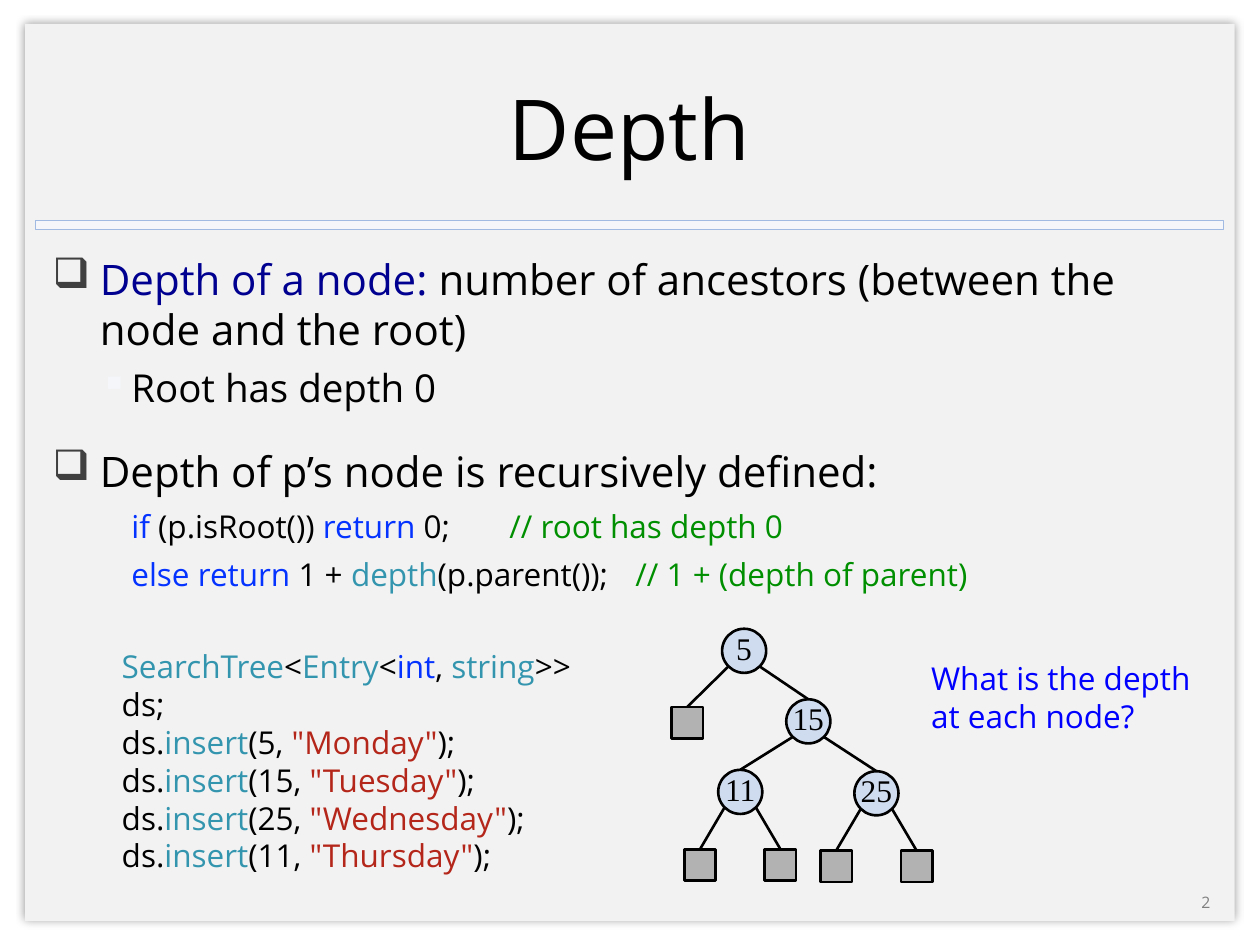
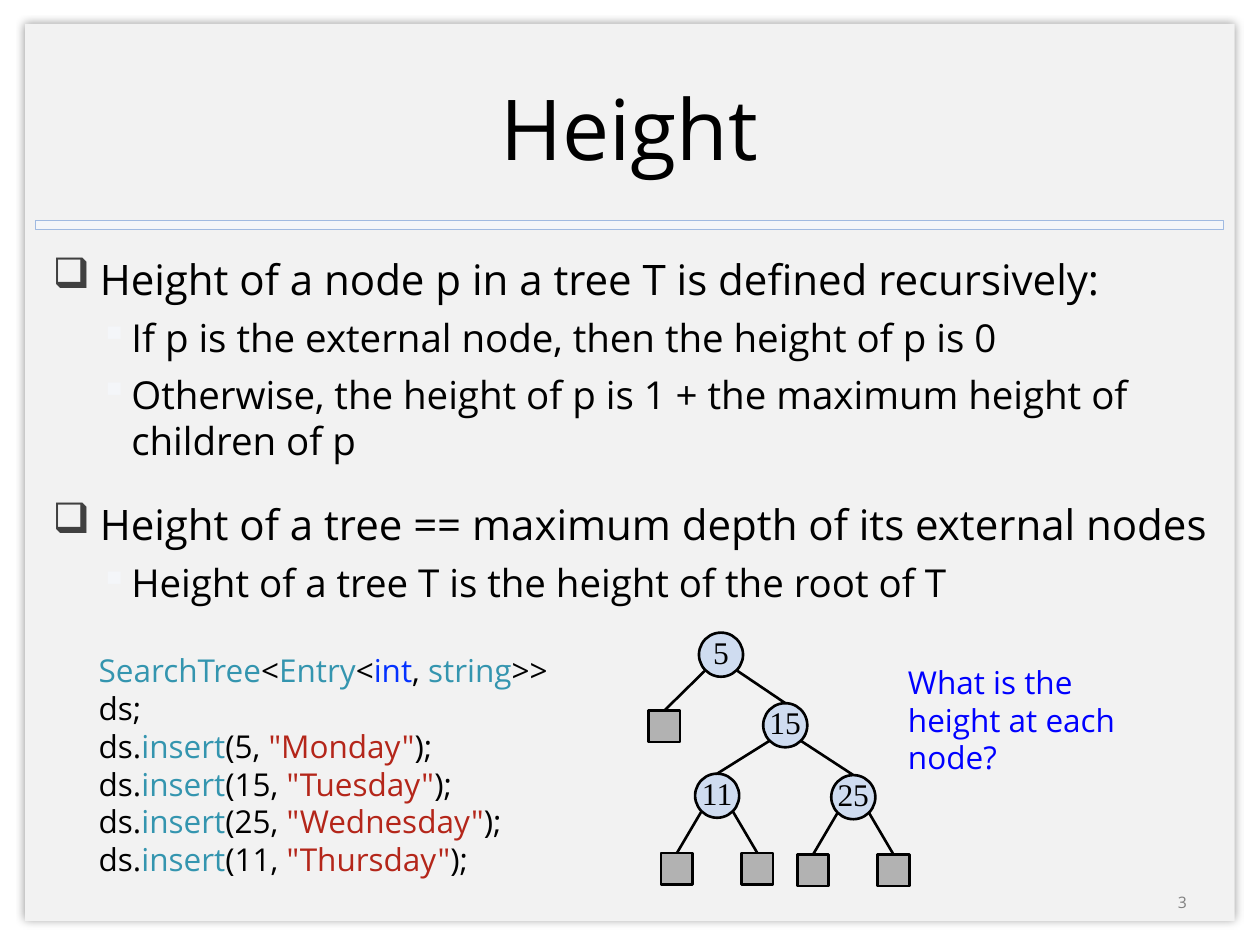
import pptx
import pptx.dml.color
import pptx.enum.shapes
import pptx.enum.text
import pptx.oxml
import pptx.oxml.ns
import pptx.util
import lxml.etree

Pt = pptx.util.Pt
RGB = pptx.dml.color.RGBColor
SHAPE = pptx.enum.shapes.MSO_SHAPE
STRAIGHT = pptx.enum.shapes.MSO_CONNECTOR.STRAIGHT
ANCHOR = pptx.enum.text.MSO_ANCHOR
CENTER = pptx.enum.text.PP_ALIGN.CENTER
qn = pptx.oxml.ns.qn

BLACK = RGB(0x00, 0x00, 0x00)
PANEL = RGB(0xF2, 0xF2, 0xF2)
PALE = RGB(0xF4, 0xF6, 0xF9)
RULE = RGB(0xA0, 0xBA, 0xE1)
NAVY = RGB(0x00, 0x00, 0x90)
BLUE = RGB(0x00, 0x00, 0xFF)
GRAY = RGB(0x7F, 0x7F, 0x7F)
BULLET = RGB(0x40, 0x40, 0x40)
KEYWORD = RGB(0x04, 0x32, 0xFF)
COMMENT = RGB(0x00, 0x8F, 0x00)
TYPE = RGB(0x34, 0x95, 0xAF)
STRING = RGB(0xB4, 0x26, 0x1A)
NODE = RGB(0xCF, 0xDC, 0xF0)
LEAF = RGB(0xB2, 0xB2, 0xB2)

FONT = "Open Sans"
NODE_FONT = "Times New Roman"

# Outline levels: text size, left margin, first-line indent, space before, bullet, bullet colour
LEVELS = [
    (24, 27, -27, 20, "\u2751", BULLET),
    (22, 45, -18, 6, "\u25aa", PALE),
    (18, 45, 0, 6, None, None),
]

# Slides: title, number, number box left, shift of the lower half, question, outline.
# An outline line is a level, its runs and, where it has a tab, the tab stop.
SLIDES = [
    ("Depth", "2", 672.5, (0, 0), "What is the depth at each node?", [
        (0, [("Depth of a node:", NAVY),
             (" number of ancestors (between the node and the root)", BLACK)], None),
        (1, [("Root has depth 0", BLACK)], None),
        (0, [("Depth of p\u2019s node is recursively defined:", BLACK)], None),
        (2, [("if ", KEYWORD), ("(p.isRoot()) ", BLACK), ("return ", KEYWORD),
             ("0;\t", BLACK), ("// root has depth 0", COMMENT)], 316.5),
        (2, [("else return", KEYWORD), (" 1 + ", BLACK), ("depth", TYPE),
             ("(p.parent());\t", BLACK), ("// 1 + (depth of parent)", COMMENT)], 332),
    ]),
    ("Height", "3", 645.8, (-13.2, 2.2), "What is the height at each node?", [
        (0, [("Height of a node p in a tree T is defined recursively:", BLACK)], None),
        (1, [("If p is the external node, then the height of p is 0", BLACK)], None),
        (1, [("Otherwise, the height of p is 1 + the maximum height of children of p",
              BLACK)], None),
        (0, [("Height of a tree == maximum depth of its external nodes", BLACK)], None),
        (1, [("Height of a tree T is the height of the root of T", BLACK)], None),
    ]),
]

CODE = [[("SearchTree", TYPE), ("<", BLACK), ("Entry", TYPE), ("<", BLACK),
         ("int", KEYWORD), (", ", BLACK), ("string", TYPE), (">> ds;", BLACK)]]
for key, day in [(5, "Monday"), (15, "Tuesday"), (25, "Wednesday"), (11, "Thursday")]:
    CODE.append([("ds.", BLACK), ("insert", TYPE), (f"({key}, ", BLACK),
                 (f'"{day}"', STRING), (");", BLACK)])

# Tree: label (None for a leaf), centre relative to the root, parent index
ROOT = (425.2, 371.9)
RADIUS = 12.6
HALF_LEAF = 9
TREE = [
    ("5", 0, 0, None),
    ("15", 36.7, 40.3, 0),
    (None, -32.4, 41, 0),
    ("11", -2.2, 80.6, 1),
    ("25", 75.6, 81.4, 1),
]
for parent in (3, 4):
    for side in (-23, 23):
        TREE.append((None, TREE[parent][1] + side, TREE[parent][2] + 41.8, parent))


def write(p, runs, size, name=FONT):
    """Add coloured runs of one size and font to a paragraph."""
    for text, color in runs:
        r = p.add_run()
        r.text = text
        for key, value in {"size": Pt(size), "name": name}.items():
            setattr(r.font, key, value)
        r.font.color.rgb = color


def add_shape(shapes, kind, box, fill, line=None, width=1.5):
    """Add a flat preset shape with a solid fill and an optional outline."""
    sp = shapes.add_shape(kind, *[Pt(v) for v in box])
    sp.shadow.inherit = False
    sp.fill.solid()
    sp.fill.fore_color.rgb = fill
    if line is None:
        sp.line.fill.background()
    else:
        sp.line.color.rgb = line
        sp.line.width = Pt(width)
    return sp


prs = pptx.Presentation()
prs.slide_width, prs.slide_height = Pt(720), Pt(540)
layout = prs.slide_layouts[5]

for title, number, number_left, (dx, dy), question, outline in SLIDES:
    s = prs.slides.add_slide(layout)

    # Panel and rule: made on the first slide, then moved to the shared layout
    if len(prs.slides) == 1:
        panel = add_shape(s.shapes, SHAPE.RECTANGLE, (14.4, 13.7, 691.2, 512.6), PANEL)
        effects = panel.element.spPr.find(qn("a:effectLst"))
        shadow = lxml.etree.SubElement(effects, qn("a:outerShdw"), blurRad=str(Pt(5)),
                                       dist="0", dir="0", algn="ctr", rotWithShape="0")
        black = lxml.etree.SubElement(shadow, qn("a:srgbClr"), val=str(BLACK))
        lxml.etree.SubElement(black, qn("a:alpha"), val="40000")
        rule = add_shape(s.shapes, SHAPE.RECTANGLE, (20.2, 126, 679, 5), PALE, RULE, 0.25)
        for sp in (panel, rule):
            layout.shapes.element.append(sp.element)

    # Title
    sp = s.shapes.title
    for key, value in {"left": 20.2, "top": 19.4, "width": 679, "height": 105.8}.items():
        setattr(sp, key, Pt(value))
    tf = sp.text_frame
    tf.auto_size = pptx.enum.text.MSO_AUTO_SIZE.NONE
    tf.vertical_anchor = ANCHOR.MIDDLE
    tf.paragraphs[0].alignment = CENTER
    write(tf.paragraphs[0], [(title, BLACK)], 48)

    # Outline
    tf = s.shapes.add_textbox(Pt(23), Pt(141.1), Pt(676), Pt(360.7)).text_frame
    tf.word_wrap = True
    for i, (level, runs, tab) in enumerate(outline):
        size, margin, indent, before, bullet, color = LEVELS[level]
        p = tf.add_paragraph() if i else tf.paragraphs[0]
        p.level = level
        p.space_before = Pt(before)
        pPr = p._p.get_or_add_pPr()
        pPr.set("marL", str(Pt(margin)))
        pPr.set("indent", str(Pt(indent)))
        if bullet:
            clr = lxml.etree.SubElement(pPr, qn("a:buClr"))
            lxml.etree.SubElement(clr, qn("a:srgbClr"), val=str(color))
            lxml.etree.SubElement(pPr, qn("a:buChar"), char=bullet)
        if tab:
            tabs = lxml.etree.SubElement(pPr, qn("a:tabLst"))
            lxml.etree.SubElement(tabs, qn("a:tab"), pos=str(Pt(tab)), algn="l")
        write(p, runs, size)

    # Slide number
    tf = s.shapes.add_textbox(Pt(number_left), Pt(504.7), Pt(705.6 - number_left),
                              Pt(21.6)).text_frame
    tf.word_wrap = True
    tf.vertical_anchor = ANCHOR.MIDDLE
    tf.paragraphs[0].alignment = CENTER
    write(tf.paragraphs[0], [(number, GRAY)], 9)

    # Code
    tf = s.shapes.add_textbox(Pt(62.5 + dx), Pt(366.4 + dy), Pt(293), Pt(116.6)).text_frame
    tf.word_wrap = True
    for i, runs in enumerate(CODE):
        write(tf.add_paragraph() if i else tf.paragraphs[0], runs, 18)

    # Tree: edges run from the parent's lower side to the child's top
    tree = s.shapes.add_group_shape().shapes
    x0, y0 = ROOT[0] + dx, ROOT[1] + dy
    for label, x, y, parent in TREE:
        half = RADIUS if label else HALF_LEAF
        x, y = x0 + x, y0 + y
        if parent is not None:
            px, py = x0 + TREE[parent][1], y0 + TREE[parent][2]
            reach = RADIUS * 0.71
            start = px + (reach if x > px else -reach)
            edge = tree.add_connector(STRAIGHT, Pt(start), Pt(py + reach), Pt(x), Pt(y - half))
            edge.line.color.rgb = BLACK
            edge.line.width = Pt(1.5)
            lxml.etree.SubElement(edge.element.spPr, qn("a:effectLst"))
        box = (x - half, y - half, 2 * half, 2 * half)
        if not label:
            add_shape(tree, SHAPE.RECTANGLE, box, LEAF, BLACK)
            continue
        tf = add_shape(tree, SHAPE.OVAL, box, NODE, BLACK).text_frame
        for key, value in {"margin_left": 0, "margin_top": 0, "margin_right": 0,
                           "margin_bottom": Pt(3.6), "word_wrap": False,
                           "vertical_anchor": ANCHOR.MIDDLE}.items():
            setattr(tf, key, value)
        tf.paragraphs[0].alignment = CENTER
        write(tf.paragraphs[0], [(label, BLACK)], 18, NODE_FONT)

    # Question
    tf = s.shapes.add_textbox(Pt(525 + dx), Pt(373 + dy), Pt(162.7), Pt(51)).text_frame
    tf.word_wrap = True
    write(tf.paragraphs[0], [(question, BLUE)], 18)

prs.save("out.pptx")
